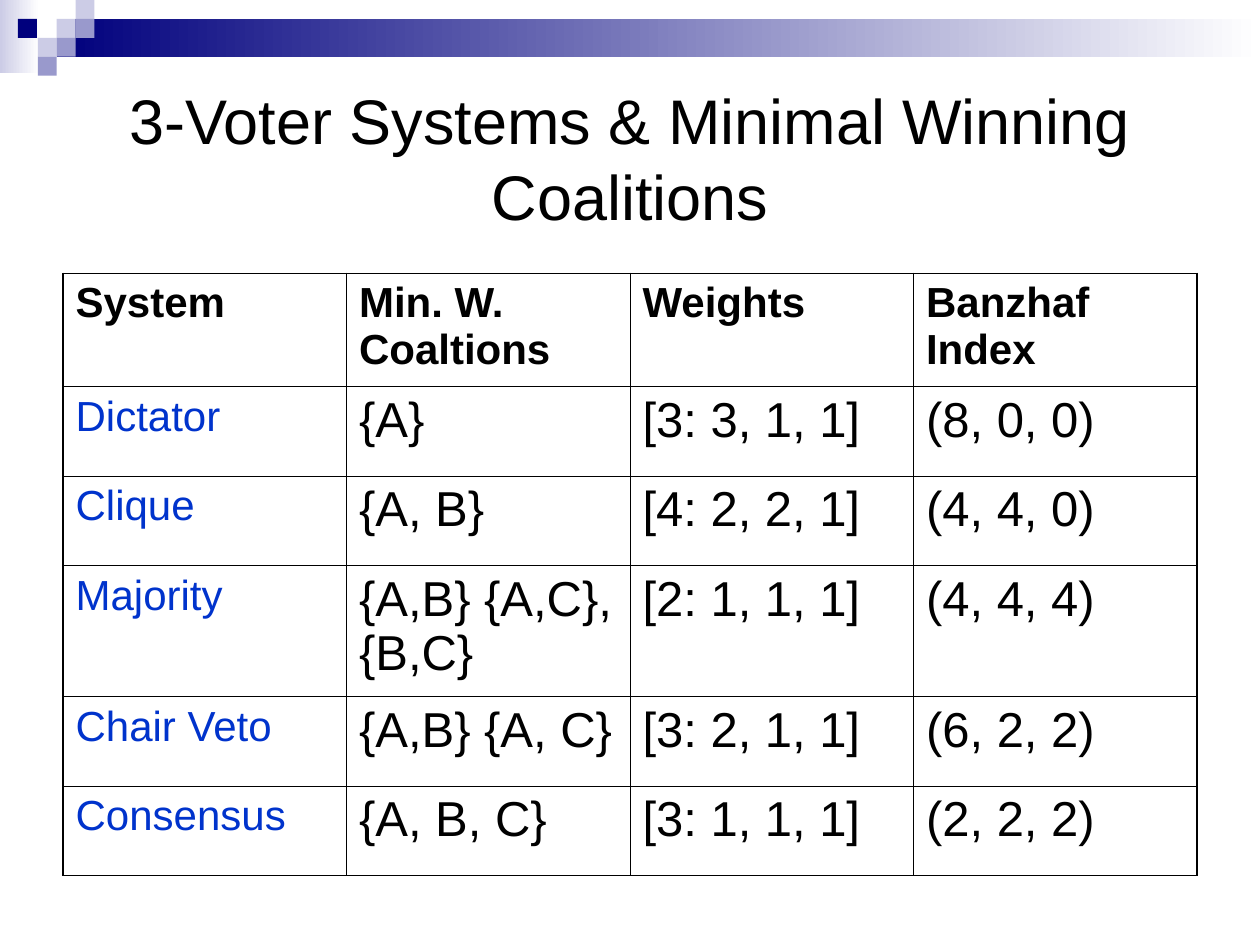
from dataclasses import dataclass

from lxml import etree
from pptx import Presentation, util as u
from pptx.dml.color import RGBColor
from pptx.enum import shapes, text
from pptx.oxml import ns

WIDE, HIGH = 10, 7.5
UNIT = 0.15  # side of one square in the corner mosaic
FONT = "Arial"
INK = {"navy": "00007D", "mid": "9999CC", "pale": "CCCCE6",
       "white": "FFFFFF", "black": "000000", "blue": "0033CC"}
THIN, THICK = 0.45, 1.08


@dataclass
class Tile:
    """Rectangle in mosaic units; a second colour makes a gradient."""
    col: float
    row: float
    color: str
    wide: float = 1
    high: float = 1
    fade: str = ""


@dataclass
class Style:
    size: int
    color: str
    bold: bool = False
    gap: int = 0


TILES = [
    Tile(0, 0, "pale", 2.07, 3.87, "white"),
    Tile(3, 1, "navy", WIDE / UNIT - 3, 2, "white"),
    Tile(3, 1, "pale"), Tile(4, 0, "pale"), Tile(4, 1, "mid"),
    Tile(2, 2, "pale"), Tile(0.95, 1, "navy"), Tile(3, 2, "mid"),
    Tile(2, 3, "mid"),
]

HEAD = Style(24, "black", True, 6)
NAME = Style(24, "blue", False, 6)
DATA = Style(28, "black", False, 7)

ROWS = [
    ("System", "Min. W. Coaltions", "Weights", "Banzhaf Index"),
    ("Dictator", "{A}", "[3: 3, 1, 1]", "(8, 0, 0)"),
    ("Clique", "{A, B}", "[4: 2, 2, 1]", "(4, 4, 0)"),
    ("Majority", "{A,B} {A,C}, {B,C}", "[2: 1, 1, 1]", "(4, 4, 4)"),
    ("Chair Veto", "{A,B} {A, C}", "[3: 2, 1, 1]", "(6, 2, 2)"),
    ("Consensus", "{A, B, C}", "[3: 1, 1, 1]", "(2, 2, 2)"),
]
TALL = [0.9, 0.71, 0.71, 1.04, 0.71, 0.71]


def tint(name: str) -> RGBColor:
    return RGBColor.from_string(INK[name])


def draw_tile(slide, tile: Tile) -> None:
    box = [u.Inches(n * UNIT)
           for n in (tile.col, tile.row, tile.wide, tile.high)]
    rect = slide.shapes.add_shape(shapes.MSO_SHAPE.RECTANGLE, *box)
    rect.shadow.inherit = False
    rect.line.fill.background()
    if tile.fade:
        rect.fill.gradient()
        rect.fill.gradient_angle = 0
        for stop, name in zip(rect.fill.gradient_stops,
                              (tile.color, tile.fade)):
            stop.color.rgb = tint(name)
    else:
        rect.fill.solid()
        rect.fill.fore_color.rgb = tint(tile.color)


def set_font(para, style: Style) -> None:
    para.font.name = FONT
    para.font.size = u.Pt(style.size)
    para.font.bold = style.bold
    para.font.color.rgb = tint(style.color)
    para.space_before = u.Pt(style.gap)


def add_edge(cell, side: str, width: float) -> None:
    props = cell._tc.get_or_add_tcPr()
    line = etree.SubElement(props, ns.qn(f"a:ln{side}"), w=str(u.Pt(width)))
    fill = etree.SubElement(line, ns.qn("a:solidFill"))
    etree.SubElement(fill, ns.qn("a:srgbClr"), val=INK["black"])


def draw_table(slide) -> None:
    rows, cols = len(ROWS), len(ROWS[0])
    box = [u.Inches(n) for n in (0.05 * WIDE, 2.17, 0.9 * WIDE, sum(TALL))]
    grid = slide.shapes.add_table(rows, cols, *box).table
    grid.first_row = grid.horz_banding = False
    for row, tall in zip(grid.rows, TALL):
        row.height = u.Inches(tall)
    for r, words in enumerate(ROWS):
        for c, word in enumerate(words):
            cell = grid.cell(r, c)
            cell.text = word
            style = HEAD if r == 0 else NAME if c == 0 else DATA
            set_font(cell.text_frame.paragraphs[0], style)
            # Thick lines on the outside, thin lines within
            outer = {"L": c == 0, "R": c == cols - 1,
                     "T": r == 0, "B": r == rows - 1}
            for side, edge in outer.items():
                add_edge(cell, side, THICK if edge else THIN)
            cell.fill.background()


def main() -> None:
    deck = Presentation()
    deck.slide_width, deck.slide_height = u.Inches(WIDE), u.Inches(HIGH)
    slide = deck.slides.add_slide(deck.slide_layouts[5])

    # Corner mosaic and top bar
    for tile in TILES:
        draw_tile(slide, tile)

    # Title
    title = slide.shapes.title
    title.left, title.top = u.Inches(0.05 * WIDE), u.Inches(0.5)
    title.width, title.height = u.Inches(0.9 * WIDE), u.Inches(0.2 * HIGH)
    frame = title.text_frame
    frame.text = "3-Voter Systems & Minimal Winning Coalitions"
    frame.vertical_anchor = text.MSO_ANCHOR.MIDDLE
    frame.auto_size = text.MSO_AUTO_SIZE.NONE
    frame.paragraphs[0].alignment = text.PP_ALIGN.CENTER
    set_font(frame.paragraphs[0], Style(36, "black"))

    # Voting systems
    draw_table(slide)

    deck.save("out.pptx")


if __name__ == "__main__":
    main()
